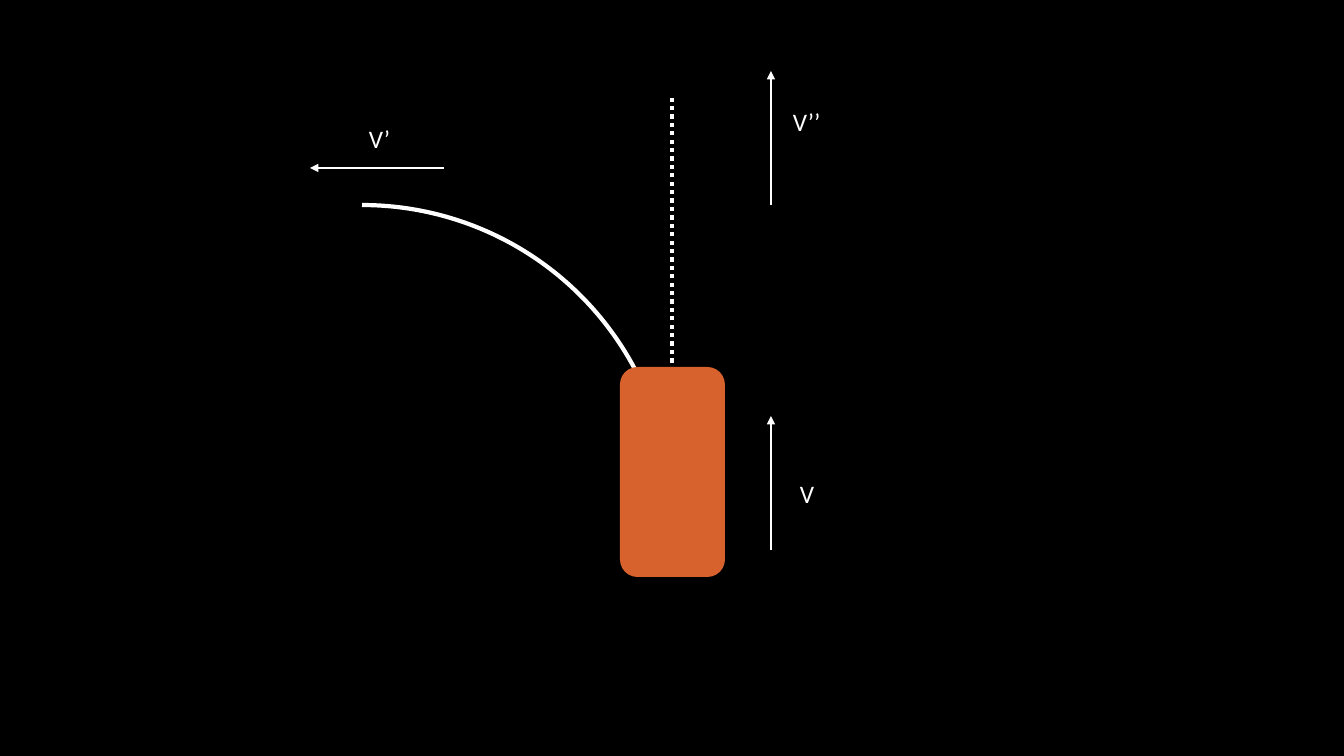
from lxml.etree import SubElement
from pptx import Presentation
from pptx.dml.color import RGBColor
from pptx.enum.dml import MSO_LINE
from pptx.enum.shapes import MSO_CONNECTOR, MSO_SHAPE
from pptx.enum.text import MSO_AUTO_SIZE
from pptx.oxml.ns import qn
from pptx.util import Pt

WIDE, HIGH = 1344, 756
SCALE = 12192000 / WIDE
BLACK, WHITE, ORANGE = "000000", "FFFFFF", "D7622D"


def px(*nums):
    """Turn pixel lengths into EMU."""
    return [round(n * SCALE) for n in nums]


def paint(fill, color):
    fill.solid()
    fill.fore_color.rgb = RGBColor.from_string(color)


def add_line(slide, start, end, width):
    line = slide.shapes.add_connector(MSO_CONNECTOR.STRAIGHT, *px(*start, *end))
    paint(line.line.fill, WHITE)
    line.line.width = Pt(width)
    SubElement(line._element.spPr, qn("a:effectLst"))
    return line


def add_shape(slide, kind, box, color):
    shape = slide.shapes.add_shape(kind, *px(*box))
    shape.shadow.inherit = False
    paint(shape.fill, color)
    return shape


def add_label(slide, text, box):
    frame = slide.shapes.add_textbox(*px(*box)).text_frame
    frame.word_wrap = False
    frame.auto_size = MSO_AUTO_SIZE.SHAPE_TO_FIT_TEXT
    run = frame.paragraphs[0].add_run()
    run.text = text
    run.font.name = "Calibri"
    run.font.size = Pt(18)
    paint(run.font.fill, WHITE)


def add_car(slide, left, top, width, height):
    """Place the car with its curved and straight paths behind it."""
    mid = left + width // 2
    hub, reach = top + 147, 618
    curve = add_shape(slide, MSO_SHAPE.ARC,
                      (mid - reach - 1, hub - reach // 2, reach, reach), BLACK)
    paint(curve.line.fill, WHITE)
    curve.line.width = Pt(3)

    ahead = add_line(slide, (mid, hub), (mid, top - 271), 3)
    ahead.line.dash_style = MSO_LINE.ROUND_DOT

    car = add_shape(slide, MSO_SHAPE.ROUNDED_RECTANGLE,
                    (left, top, width, height), ORANGE)
    car.line.fill.background()


def add_vector(slide, start, step, text, shift, width):
    """Draw a velocity arrow, with its label shifted from the start."""
    x, y = start
    arrow = add_line(slide, start, (x + step[0], y + step[1]), 1.5)
    SubElement(arrow.line._get_or_add_ln(), qn("a:tailEnd"), type="triangle")
    add_label(slide, text, (x + shift[0], y + shift[1], width, 40))


def main():
    deck = Presentation()
    deck.slide_width, deck.slide_height = px(WIDE, HIGH)
    slide = deck.slides.add_slide(deck.slide_layouts[6])
    paint(slide.background.fill, BLACK)

    add_car(slide, 620, 367, 105, 210)
    speed = 134
    up, left = (0, -speed), (-speed, 0)
    add_vector(slide, (771, 550), up, "V", (19, -77), 35)
    add_vector(slide, (771, 205), up, "V’’", (12, -104), 48)
    add_vector(slide, (444, 168), left, "V’", (-85, -50), 42)
    deck.save("out.pptx")


if __name__ == "__main__":
    main()
